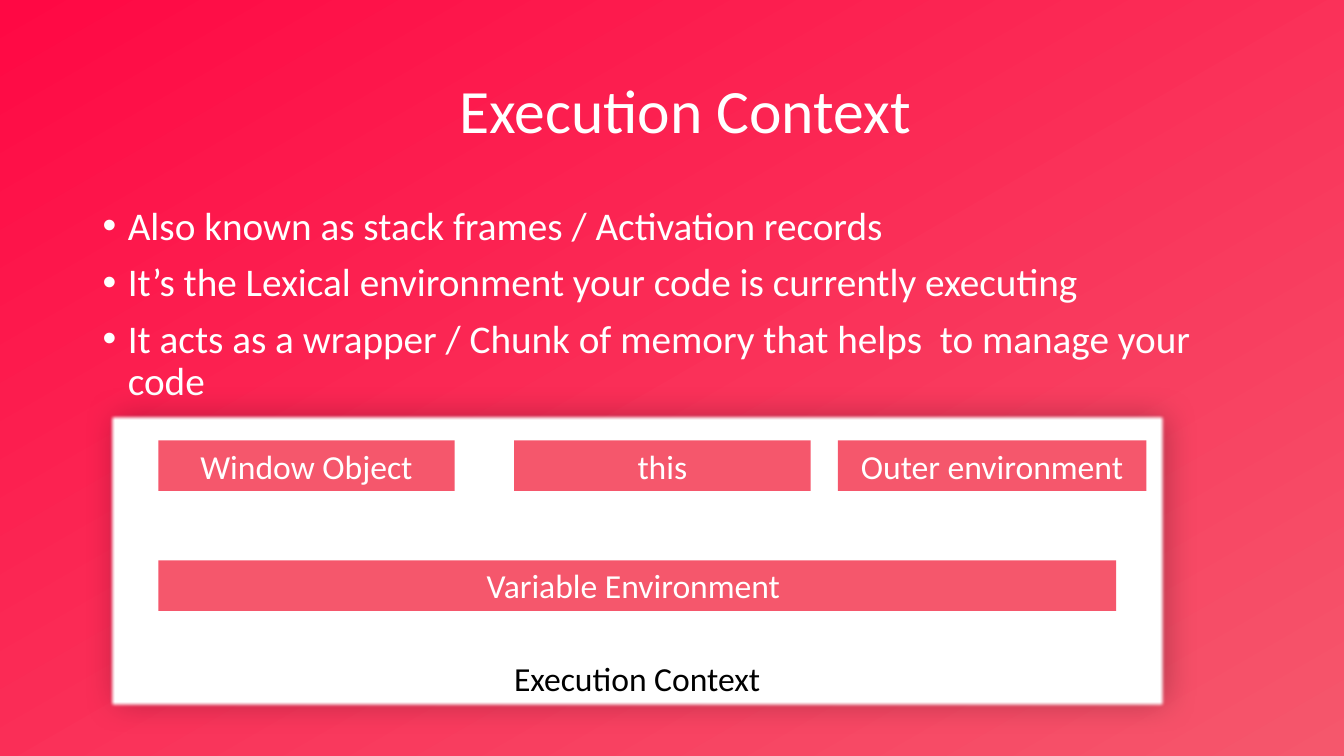
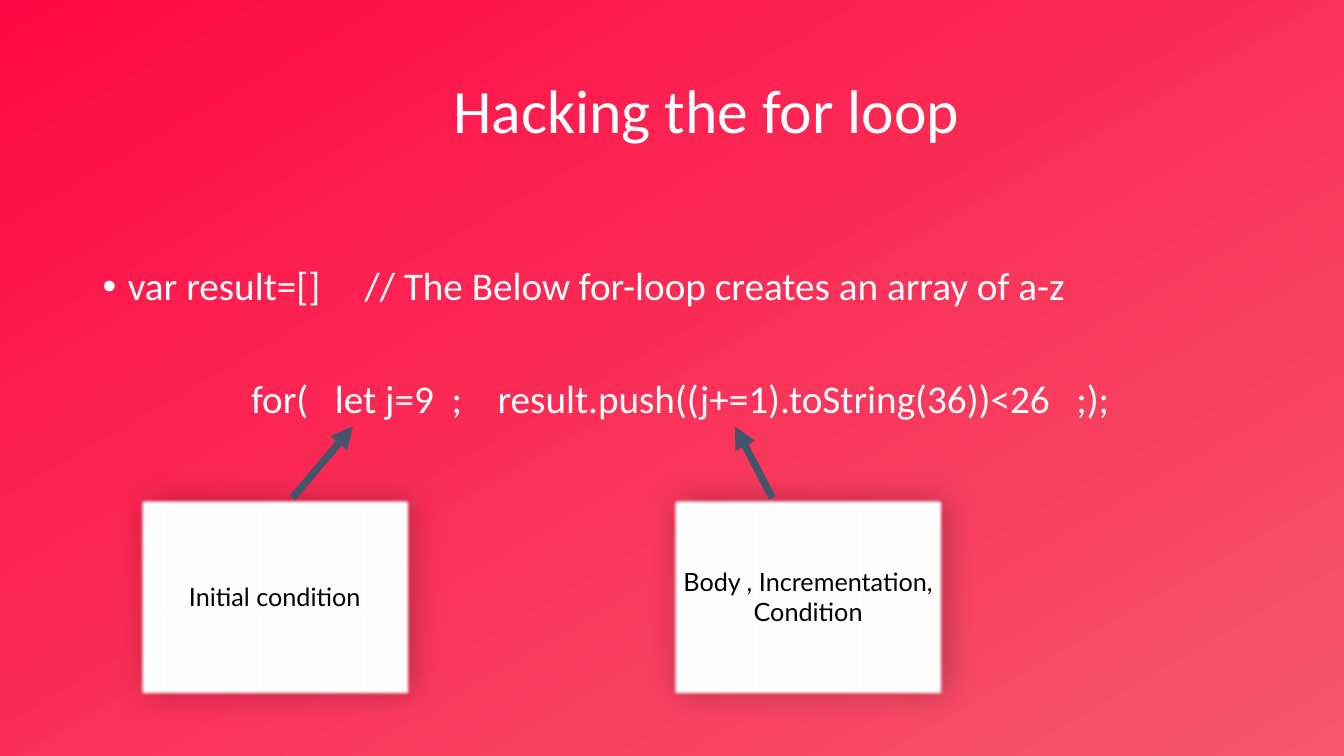
from lxml.etree import SubElement
from pptx import Presentation
from pptx.dml.color import RGBColor
from pptx.enum.shapes import MSO_CONNECTOR, MSO_SHAPE
from pptx.enum.text import MSO_ANCHOR as Anchor, MSO_AUTO_SIZE as AutoSize, PP_ALIGN as Align
from pptx.oxml import parse_xml
from pptx.oxml.ns import nsdecls, qn
from pptx.util import Inches, Pt

RED = RGBColor(0xFF, 0x08, 0x44)
CORAL = RGBColor(0xF5, 0x57, 0x6C)
WHITE = RGBColor(0xFF, 0xFF, 0xFF)
BLACK = RGBColor(0x00, 0x00, 0x00)
BLUE = RGBColor(0x43, 0x73, 0x9E)
SLATE = RGBColor(0x44, 0x54, 0x6A)

# Soft dark glow around the white cards: 24 pt blur, 28 % black, feathered edge
CARD_EFFECTS = f"""<a:effectLst {nsdecls('a')}>
  <a:outerShdw blurRad="304800" dist="38100" dir="0" algn="ctr" rotWithShape="0">
    <a:srgbClr val="000000"><a:alpha val="28000"/></a:srgbClr>
  </a:outerShdw>
  <a:softEdge rad="31750"/>
</a:effectLst>"""


def write(shape, lines, size, color, align=Align.CENTER, font="Calibri", spacing=1.0):
    frame = shape.text_frame
    frame.word_wrap = True
    frame.text = "\n".join(lines)
    for para in frame.paragraphs:
        para.alignment = align
        para.line_spacing = spacing
        for span in para.runs:
            span.font.name = font
            span.font.size = Pt(size)
            span.font.color.rgb = color
    return frame


def add_box(page, left, top, width, height, fill, card=False):
    box = page.shapes.add_shape(
        MSO_SHAPE.RECTANGLE, Inches(left), Inches(top), Inches(width), Inches(height))
    box.shadow.inherit = False
    box.fill.solid()
    box.fill.fore_color.rgb = fill
    if card:
        box.line.color.rgb = BLUE
        box.line.width = Pt(1)
        properties = box._element.spPr
        properties.remove(properties.find(qn("a:effectLst")))
        properties.append(parse_xml(CARD_EFFECTS))
    else:
        box.line.fill.background()
    return box


deck = Presentation()
deck.slide_width, deck.slide_height = Inches(13.33), Inches(7.5)

# Shared background gradient
background = deck.slide_master.background.fill
background.gradient()
background.gradient_angle = 300
for stop, color in zip(background.gradient_stops, (RED, CORAL)):
    stop.color.rgb = color

# Title and body text of each slide: title, title left, body top, body width,
# and body lines as (text, bulleted, space before)
slides = [
    ("Execution Context", 1.05, 2.0, 11.5, [
        ("Also known as stack frames / Activation records", True, 0),
        ("It’s the Lexical environment your code is currently executing", True, 10),
        ("It acts as a wrapper / Chunk of memory that helps  to manage your code", True, 10),
    ]),
    ("Hacking the for loop", 1.26, 2.6, 11.65, [
        ("var result=[]     // The Below for-loop creates an array of a-z", True, 0),
        ("for(   let j=9  ;    result.push((j+=1).toString(36))<26   ;);", False, 50),
    ]),
]
pages = []
for title, title_left, body_top, body_width, lines in slides:
    page = deck.slides.add_slide(deck.slide_layouts[6])
    pages.append(page)

    heading = page.shapes.add_textbox(
        Inches(title_left), Inches(0.4), Inches(11.5), Inches(1.45))
    write(heading, [title], 44, WHITE, spacing=0.9).vertical_anchor = Anchor.MIDDLE

    body = page.shapes.add_textbox(
        Inches(0.92), Inches(body_top), Inches(body_width), Inches(6.76 - body_top))
    frame = write(body, [text for text, _, _ in lines], 28, WHITE, Align.LEFT, spacing=0.9)
    for para, (_, bulleted, before) in zip(frame.paragraphs, lines):
        para.space_before = Pt(before)
        if bulleted:
            properties = para._p.get_or_add_pPr()
            properties.set("marL", str(Inches(0.25)))
            properties.set("indent", str(-Inches(0.25)))
            SubElement(properties, qn("a:buFont"), typeface="Arial")
            SubElement(properties, qn("a:buChar"), char="•")
        else:
            para.alignment = Align.CENTER

context_page, loop_page = pages

# Execution context diagram
add_box(context_page, 1.08, 4.11, 10.48, 2.91, WHITE, card=True)
for text, left, top, width in [
    ("Window Object", 1.57, 4.37, 2.94),
    ("this", 5.1, 4.37, 2.94),
    ("Outer environment", 8.31, 4.37, 3.06),
    ("Variable Environment ", 1.57, 5.56, 9.5),
]:
    box = add_box(context_page, left, top, width, 0.5, CORAL)
    frame = write(box, [text], 24, WHITE)
    frame.vertical_anchor = Anchor.TOP
    frame.auto_size = AutoSize.SHAPE_TO_FIT_TEXT
caption = context_page.shapes.add_textbox(Inches(1.57), Inches(6.48), Inches(9.5), Inches(0.5))
write(caption, ["Execution Context"], 24, BLACK)

# Loop parts: a card with an arrow up to the code it explains
CARD_TOP, ARROW_TIP = 4.94, 4.23
for lines, left, arrow_start, arrow_end in [
    (["Initial condition"], 1.38, 2.9, 3.5),
    (["Body , Incrementation,", "Condition"], 6.67, 7.66, 7.29),
]:
    card = add_box(loop_page, left, CARD_TOP, 2.69, 1.96, WHITE, card=True)
    write(card, lines, 18, BLACK, font="Lato").vertical_anchor = Anchor.MIDDLE

    arrow = loop_page.shapes.add_connector(
        MSO_CONNECTOR.STRAIGHT, Inches(arrow_start), Inches(CARD_TOP),
        Inches(arrow_end), Inches(ARROW_TIP))
    arrow.line.color.rgb = SLATE
    arrow.line.width = Pt(5.25)
    SubElement(arrow.line._get_or_add_ln(), qn("a:tailEnd"), type="triangle")
    SubElement(arrow._element.spPr, qn("a:effectLst"))

deck.save("out.pptx")
